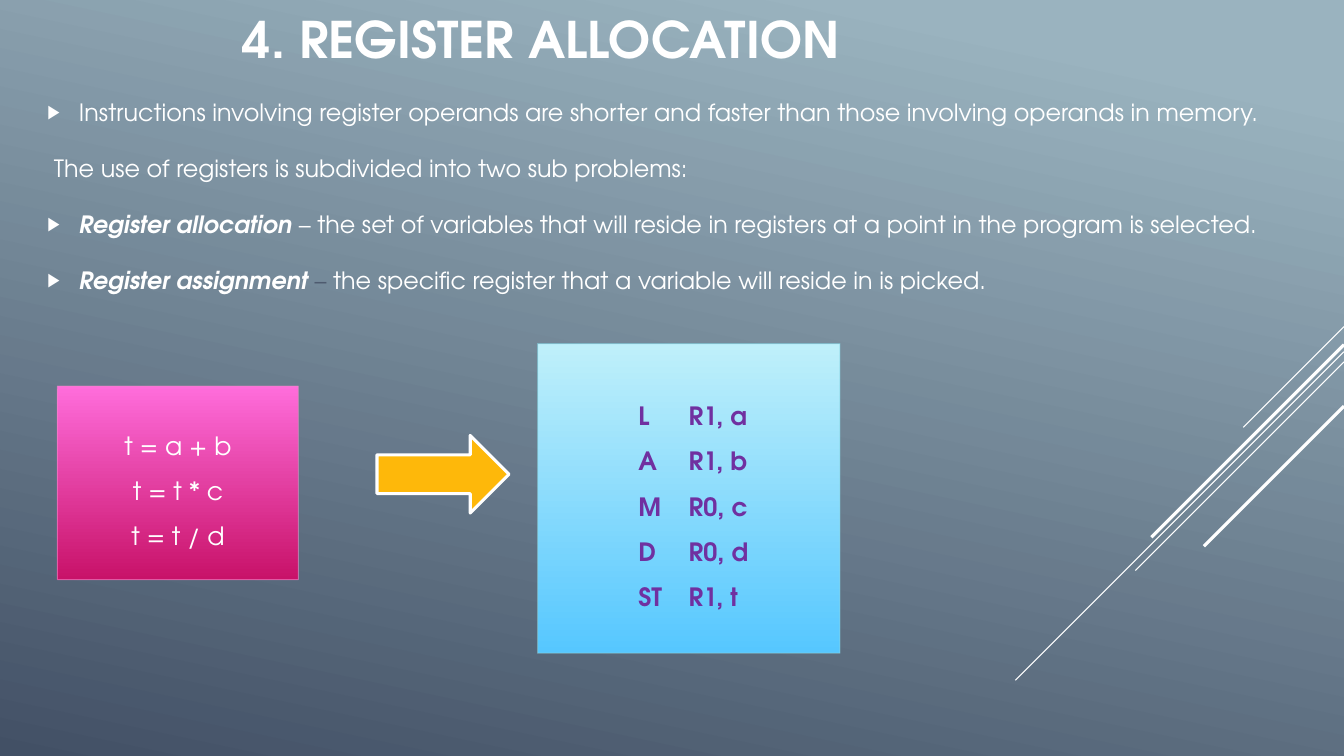
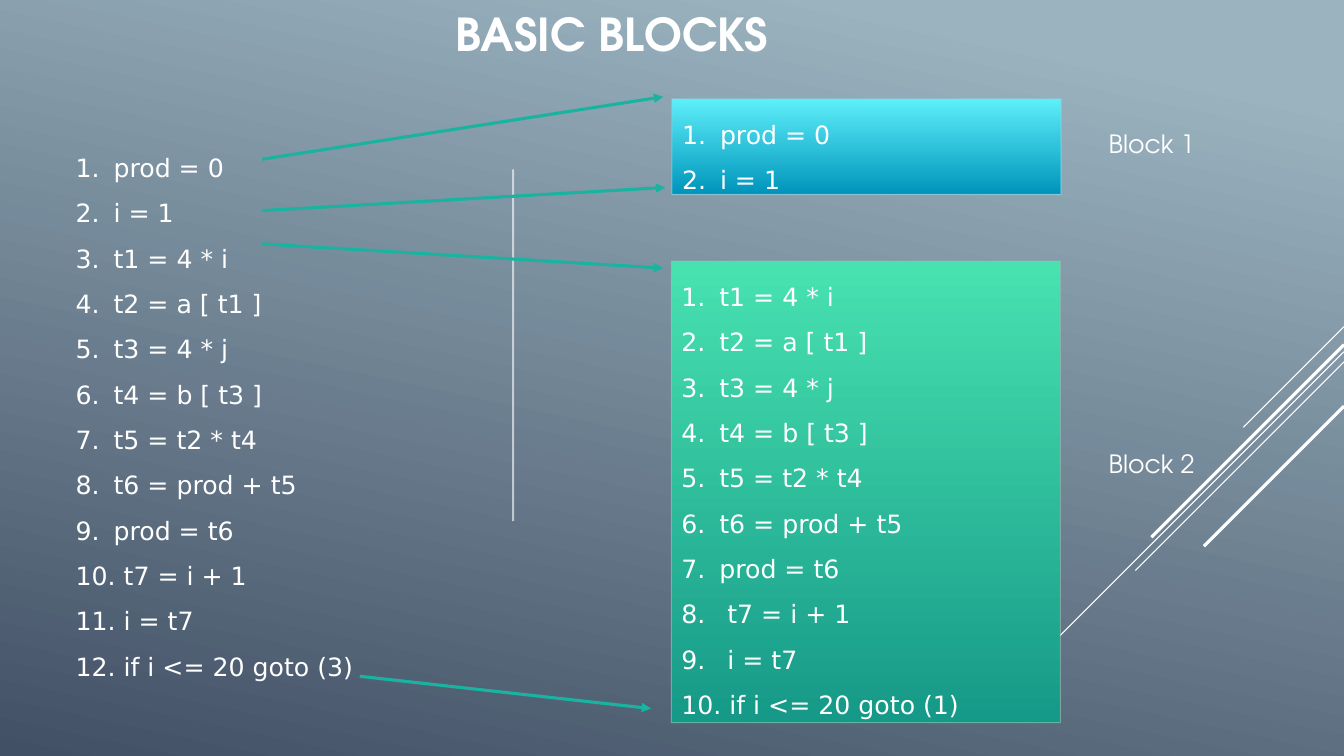
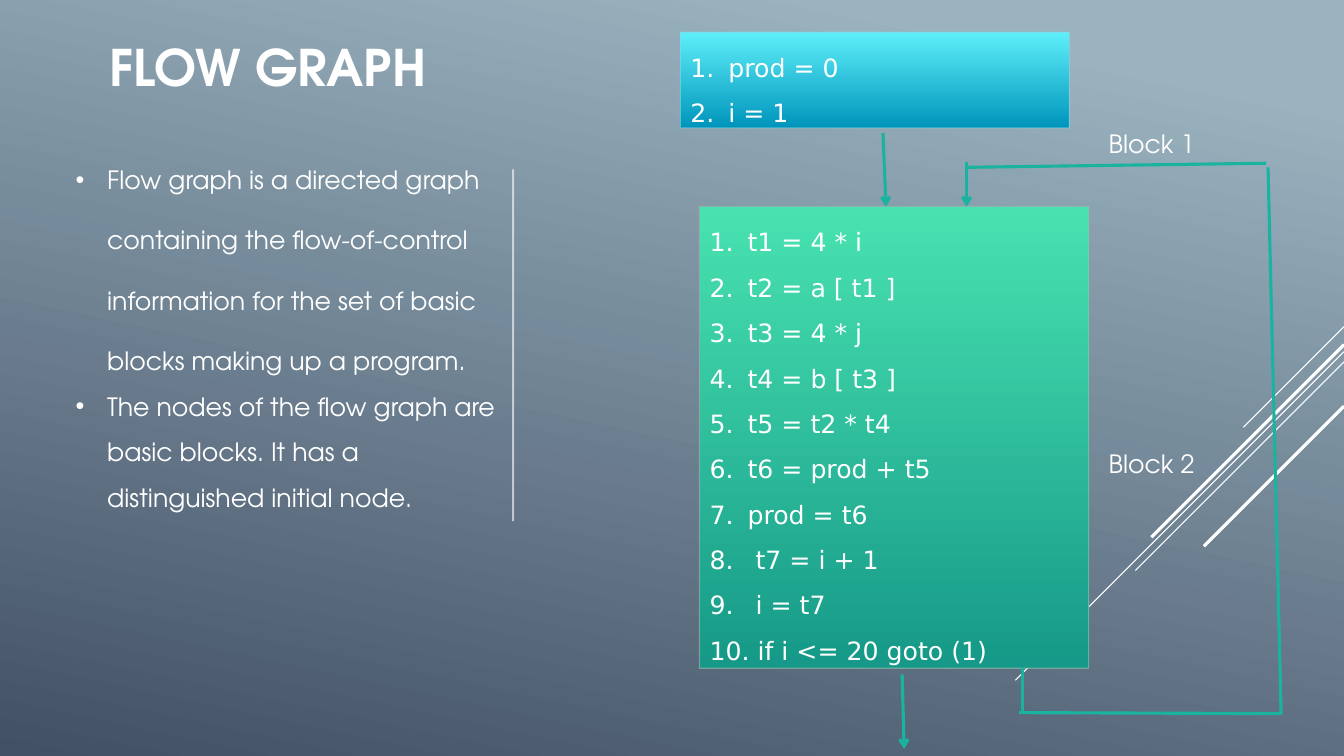
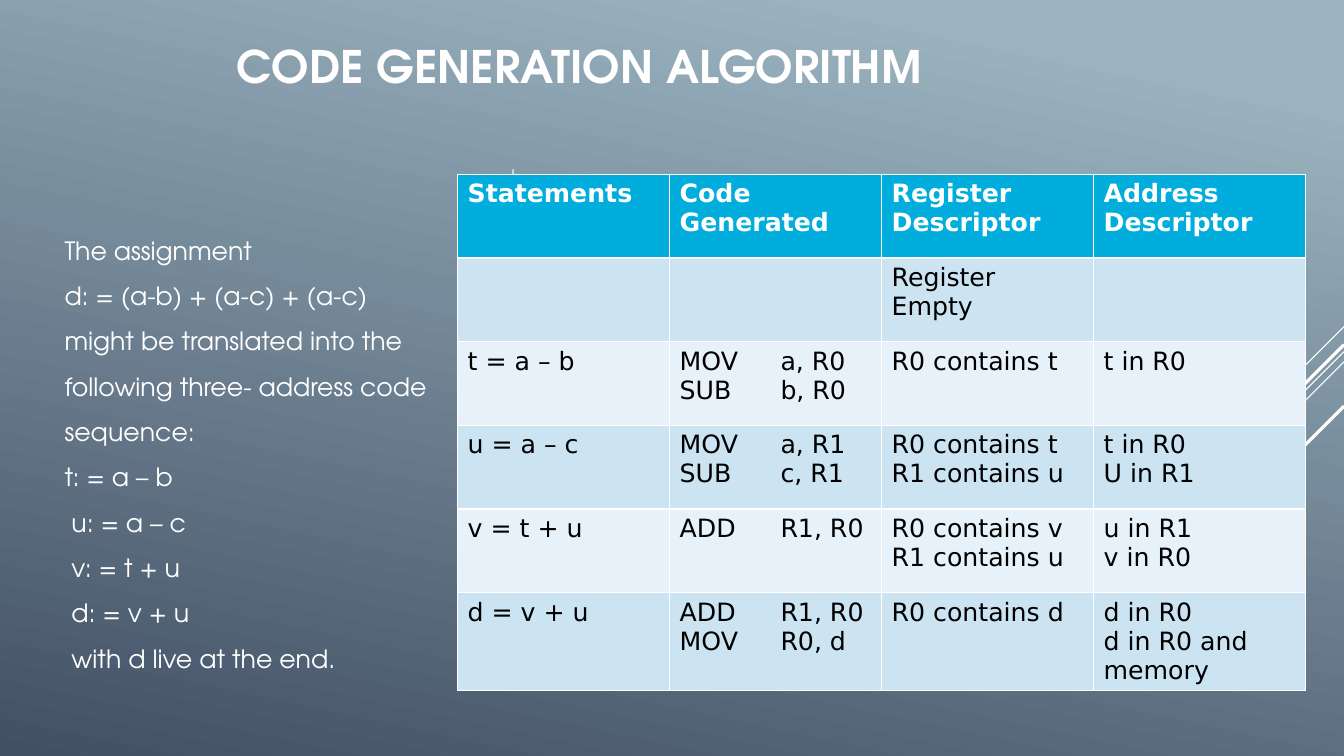
from lxml import etree
from pptx import Presentation
from pptx import util as u
from pptx.dml.color import RGBColor
from pptx.enum import shapes, text
from pptx.oxml.ns import qn

COLUMNS = 40
SANS, CODE = "TeX Gyre Adventor", "DejaVu Sans"
WHITE, TEAL, PURPLE, SLATE = "FFFFFF", "1AB39F", "7030A0", "4E5B6F"
SKY = ("9AB3BF", "425065")
PINK = ("FF6DDB", "C81269", "EF8ACA")
ICE = ("BFF0FA", "56C7FF", "89D7E5")
CYAN = ("5DEFF9", "0094BC", "89D7E5")
GREEN = ("48E2B0", "169988", "8AC9B2")
HEADER, BANDS = "00ADDC", ("E7F1F9", "CCE3F2")
RAYS = [(9.72, 3, 0.75), (10.47, 9.78, 0.75), (10.77, 6.21, 0.75),
        (10.26, 5.73, 2.25), (12.09, 4.17, 2.25)]
BLOCK_WIDTH = 11.58
TOP, MIDDLE, BOTTOM = (text.MSO_ANCHOR.TOP, text.MSO_ANCHOR.MIDDLE,
                       text.MSO_ANCHOR.BOTTOM)
LEFT, CENTER, RIGHT = text.PP_ALIGN.LEFT, text.PP_ALIGN.CENTER, text.PP_ALIGN.RIGHT

INITIAL = ["prod = 0", "i = 1"]
LOOP = ["t1 = 4 * i", "t2 = a [ t1 ]", "t3 = 4 * j", "t4 = b [ t3 ]",
        "t5 = t2 * t4", "t6 = prod + t5", "prod = t6", " t7 = i + 1", " i = t7"]


def rgb(value):
    """Turn a hex string into a colour."""
    return RGBColor.from_string(value)


def apply(target, values):
    """Set every attribute named in a dict of format values."""
    for key, value in values.items():
        setattr(target, key, value)


def add_xml(parent, tag, **attributes):
    """Append one drawing element with its attributes."""
    return etree.SubElement(parent, qn(tag), attributes)


class Deck:
    """Holds the shared style and the current slide."""

    def __init__(self):
        """Open a wide presentation."""
        self.prs = Presentation()
        apply(self.prs, {"slide_width": u.Inches(13.333), "slide_height": u.Inches(7.5)})
        self.unit = self.prs.slide_width / COLUMNS

    def grid(self, *cells):
        """Convert grid units to lengths."""
        return [u.Emu(round(cell * self.unit)) for cell in cells]

    def gradient(self, fill, colors, start=0, angle=90):
        """Fill with two colours along a clockwise angle."""
        fill.gradient()
        fill.gradient_angle = 360 - angle
        for stop, color, position in zip(fill.gradient_stops, colors, (start, 1)):
            stop.position = position
            stop.color.rgb = rgb(color)

    def outline(self, line, color, weight):
        """Give a line its colour and weight."""
        line.color.rgb = rgb(color)
        line.width = u.Pt(weight)

    def fade(self, shape):
        """Make an outline sixty percent opaque."""
        for color in shape._element.xpath("./p:spPr/a:ln//a:srgbClr"):
            add_xml(color, "a:alpha", val="60000")

    def new_slide(self, heading, size, box, align, anchor=MIDDLE):
        """Start a slide with its background, rays and title."""
        self.slide = self.prs.slides.add_slide(self.prs.slide_layouts[1])
        self.gradient(self.slide.background.fill, SKY, 0.1, 102)
        for row, length, weight in RAYS:
            self.line((COLUMNS, row, COLUMNS - length, row + length), WHITE, weight)
        title = self.slide.shapes.title
        self.place(title, box)
        self.set_text(title.text_frame, [heading], size, anchor=anchor, align=align,
                      bold=True)

    def place(self, shape, box):
        """Move a shape to a box on the grid."""
        apply(shape, dict(zip(("left", "top", "width", "height"), self.grid(*box))))

    def set_text(self, frame, lines, size=18, font=SANS, color=WHITE, anchor=TOP,
                 align=LEFT, bold=None, bullet=None, hang=0, tab=0, **paragraph_format):
        """Set lines, each a string or a list of runs with formats."""
        apply(frame, {"word_wrap": True, "auto_size": text.MSO_AUTO_SIZE.NONE,
                      "vertical_anchor": anchor})
        for index, line in enumerate(lines):
            paragraph = frame.add_paragraph() if index else frame.paragraphs[0]
            apply(paragraph, {"alignment": align, **paragraph_format})
            runs = [(line, {})] if isinstance(line, str) else line
            for words, run_format in runs:
                run = paragraph.add_run()
                run.text = words
                values = {"name": font, "size": u.Pt(size), "bold": bold, **run_format}
                run.font.color.rgb = rgb(values.pop("color", color))
                apply(run.font, values)
            marked = bullet and not paragraph.text.startswith(" The")
            self.mark(paragraph, bullet if marked else None, hang if marked else 0, tab)

    def mark(self, paragraph, bullet, hang, tab):
        """Set the bullet, hanging indent and tab stop."""
        props = paragraph._p.get_or_add_pPr()
        indent = self.grid(hang)[0]
        props.set("marL", str(indent))
        props.set("indent", str(-indent))
        if bullet == "1.":
            add_xml(props, "a:buAutoNum", type="arabicPeriod")
        elif bullet:
            if bullet == "▶":
                add_xml(add_xml(props, "a:buClr"), "a:srgbClr", val=WHITE)
                add_xml(props, "a:buSzPct", val="80000")
            add_xml(props, "a:buChar", char=bullet)
        else:
            add_xml(props, "a:buNone")
        if tab:
            add_xml(add_xml(props, "a:tabLst"), "a:tab",
                    pos=str(self.grid(tab)[0]), algn="l")

    def body(self, box, lines, **style):
        """Fill the body placeholder."""
        body = self.slide.placeholders[1]
        self.place(body, box)
        self.set_text(body.text_frame, lines, **style)

    def panel(self, box, colors, lines, inset=0.3, **style):
        """Draw a gradient rectangle with text."""
        panel = self.shape(shapes.MSO_SHAPE.RECTANGLE, box, colors[2], 0.75)
        self.gradient(panel.fill, colors[:2])
        self.fade(panel)
        panel.text_frame.margin_left = self.grid(inset)[0]
        self.set_text(panel.text_frame, lines, line_spacing=1.5, **style)

    def shape(self, kind, box, edge, weight):
        """Draw a preset shape with an outline and no shadow."""
        shape = self.slide.shapes.add_shape(kind, *self.grid(*box))
        shape.shadow.inherit = False
        self.outline(shape.line, edge, weight)
        return shape

    def block_arrow(self, box, color):
        """Draw a solid arrow pointing right."""
        arrow = self.shape(shapes.MSO_SHAPE.RIGHT_ARROW, box, WHITE, 2.25)
        arrow.fill.solid()
        arrow.fill.fore_color.rgb = rgb(color)

    def line(self, ends, color=TEAL, weight=2.25, tip=None):
        """Draw a straight line, with an arrowhead if a tip is named."""
        line = self.slide.shapes.add_connector(shapes.MSO_CONNECTOR.STRAIGHT,
                                               *self.grid(*ends))
        self.outline(line.line, color, weight)
        props = line._element.spPr
        if tip:
            add_xml(props.find(qn("a:ln")), "a:tailEnd", type=tip)
        add_xml(props, "a:effectLst")
        return line

    def divider(self):
        """Draw the faint vertical rule."""
        self.fade(self.line((15.27, 5.04, 15.27, 15.51), WHITE, 1.5))

    def blocks(self, first, second):
        """Draw both basic blocks at their corners and label them."""
        numbered = {"font": CODE, "bullet": "1.", "hang": 1.13}
        self.panel((*second, BLOCK_WIDTH, 13.74), GREEN,
                   LOOP + [" if i <= 20 goto (1)"], **numbered)
        self.panel((*first, BLOCK_WIDTH, 2.85), CYAN, INITIAL, **numbered)
        for name, row in (("Block 1", 3.66), ("Block 2", 13.2)):
            label = self.slide.shapes.add_textbox(*self.grid(32.7, row, 3.54, 1.26))
            self.set_text(label.text_frame, [name])

    def table(self, corner, column, row, rows, tab):
        """Draw a table with a header and banded rows."""
        count = len(rows[0])
        table = self.slide.shapes.add_table(
            len(rows), count,
            *self.grid(*corner, column * count, row * len(rows))).table
        for r, entries in enumerate(rows):
            for c, entry in enumerate(entries):
                cell = table.cell(r, c)
                cell.fill.solid()
                cell.fill.fore_color.rgb = rgb(BANDS[r % 2] if r else HEADER)
                if entry:
                    self.set_text(cell.text_frame, entry.split("\n"), font=CODE, tab=tab,
                                  color="000000" if r else WHITE, bold=not r)


def register_allocation(deck):
    """Build the register allocation slide."""
    deck.new_slide("4. REGISTER ALLOCATION", 36, (6.93, 0, 29.76, 2.19), LEFT, BOTTOM)
    strong = {"bold": True, "italic": True}
    deck.body((1.11, 1.71, 38, 7.83), [
        "Instructions involving register operands are shorter and faster than those "
        "involving operands in memory.",
        " The use of registers is subdivided into two sub problems:",
        [("Register allocation ", strong),
         ("– the set of variables that will reside in registers at a point in the "
          "program is selected.", {})],
        [("Register assignment ", strong), ("–", {"color": SLATE}),
         (" the specific register that a variable will reside in is picked.", {})],
    ], size=17, anchor=MIDDLE, bullet="▶", hang=0.94, line_spacing=1.5,
        space_after=u.Pt(6))
    deck.panel((1.71, 11.49, 7.17, 5.76), PINK,
               ["t = a + b", "t = t * c", "t = t / d"], anchor=MIDDLE, align=CENTER)
    deck.panel((16, 10.23, 9, 9.21), ICE,
               ["L\tR1, a", "A\tR1, b", "M\tR0, c", "D\tR0, d", "ST\tR1, t"],
               inset=3, tab=1.25, color=PURPLE, bold=True, anchor=MIDDLE)
    deck.block_arrow((11.22, 12.96, 3.93, 2.31), "FEB80A")


def basic_blocks(deck):
    """Build the basic blocks slide."""
    deck.new_slide("BASIC BLOCKS", 32.4, (10.86, 0, 12.3, 1.98), RIGHT)
    deck.divider()
    deck.body((1.95, 3.93, BLOCK_WIDTH, 16.47),
              INITIAL + LOOP + [" if i <= 20 goto (3)"], font=CODE, bullet="1.",
              hang=1.13, line_spacing=1.5, space_before=0)
    deck.blocks((20, 2.94), (19.98, 7.77))
    for ends in ((7.8, 6.27, 19.8, 5.58), (7.8, 7.26, 19.74, 7.98),
                 (10.71, 20.13, 19.38, 21.09), (7.8, 4.74, 19.74, 2.88)):
        deck.line(ends, tip="triangle")


def flow_graph(deck):
    """Build the flow graph slide."""
    deck.new_slide("FLOW GRAPH", 36, (0.69, 0.27, 12.3, 3.42), RIGHT)
    deck.divider()
    deck.body((1.95, 3.84, 13.14, 12.84), [
        "Flow graph is a directed graph containing the flow-of-control information "
        "for the set of basic blocks making up a program.",
        "The nodes of the flow graph are basic blocks. It has a distinguished "
        "initial node.",
    ], bullet="•", hang=0.94, line_spacing=1.5, space_before=0)
    deck.slide.placeholders[1].text_frame.paragraphs[0].line_spacing = 2.0
    deck.blocks((20.25, 0.96), (20.82, 6.15))
    for ends in ((26.28, 3.96, 26.37, 6.15), (26.85, 20.07, 26.91, 22.29),
                 (28.77, 4.83, 28.77, 6.15)):
        deck.line(ends, tip="arrow")
    for ends in ((30.42, 19.89, 30.42, 21.18), (30.33, 21.21, 38.1, 21.24),
                 (38.13, 21.27, 37.74, 4.98), (28.77, 4.98, 37.68, 4.86)):
        deck.line(ends)


def code_generation(deck):
    """Build the code generation slide."""
    deck.new_slide("CODE GENERATION ALGORITHM", 32, (0, 0.33, 34.5, 3.24), CENTER)
    deck.divider()
    deck.body((1.62, 6.39, 13.44, 15.12), [
        "The assignment", "d: = (a-b) + (a-c) + (a-c)",
        "might be translated into the following three- address code sequence:",
        "t: = a – b", " u: = a – c", " v: = t + u", " d: = v + u",
        " with d live at the end.",
    ], line_spacing=1.5, space_before=0)
    deck.table((13.62, 5.19), 6.31, 2.49, [
        ["Statements", "Code Generated", "Register Descriptor", "Address Descriptor"],
        ["", "", "Register Empty", ""],
        ["t = a – b", "MOV\ta, R0\nSUB\tb, R0", "R0 contains t", "t in R0"],
        ["u = a – c", "MOV\ta, R1\nSUB\tc, R1", "R0 contains t\nR1 contains u",
         "t in R0\nU in R1"],
        ["v = t + u", "ADD\tR1, R0", "R0 contains v\nR1 contains u",
         "u in R1\nv in R0"],
        ["d = v + u", "ADD\tR1, R0\nMOV\tR0, d", "R0 contains d",
         "d in R0\nd in R0 and memory"],
    ], tab=2.5)


def main():
    """Build and save all slides."""
    deck = Deck()
    for build in (register_allocation, basic_blocks, flow_graph, code_generation):
        build(deck)
    deck.prs.save("out.pptx")


if __name__ == "__main__":
    main()
